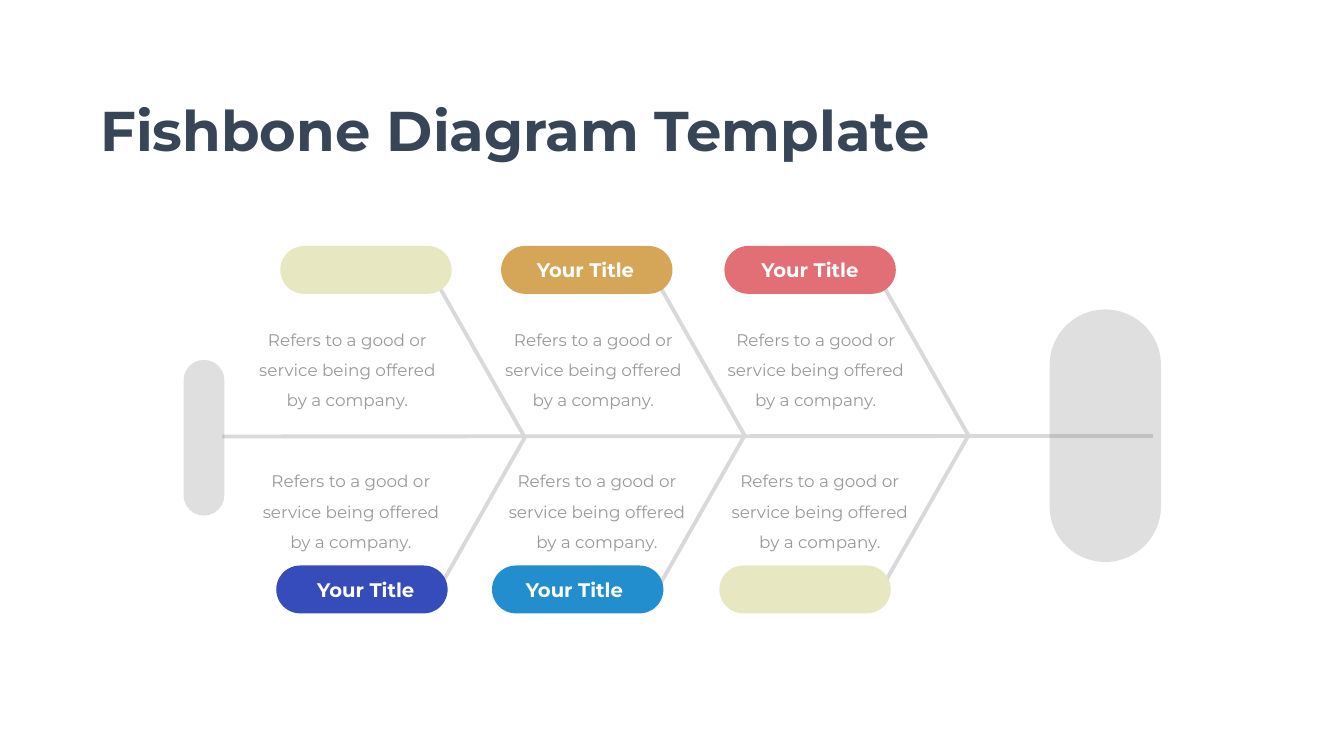
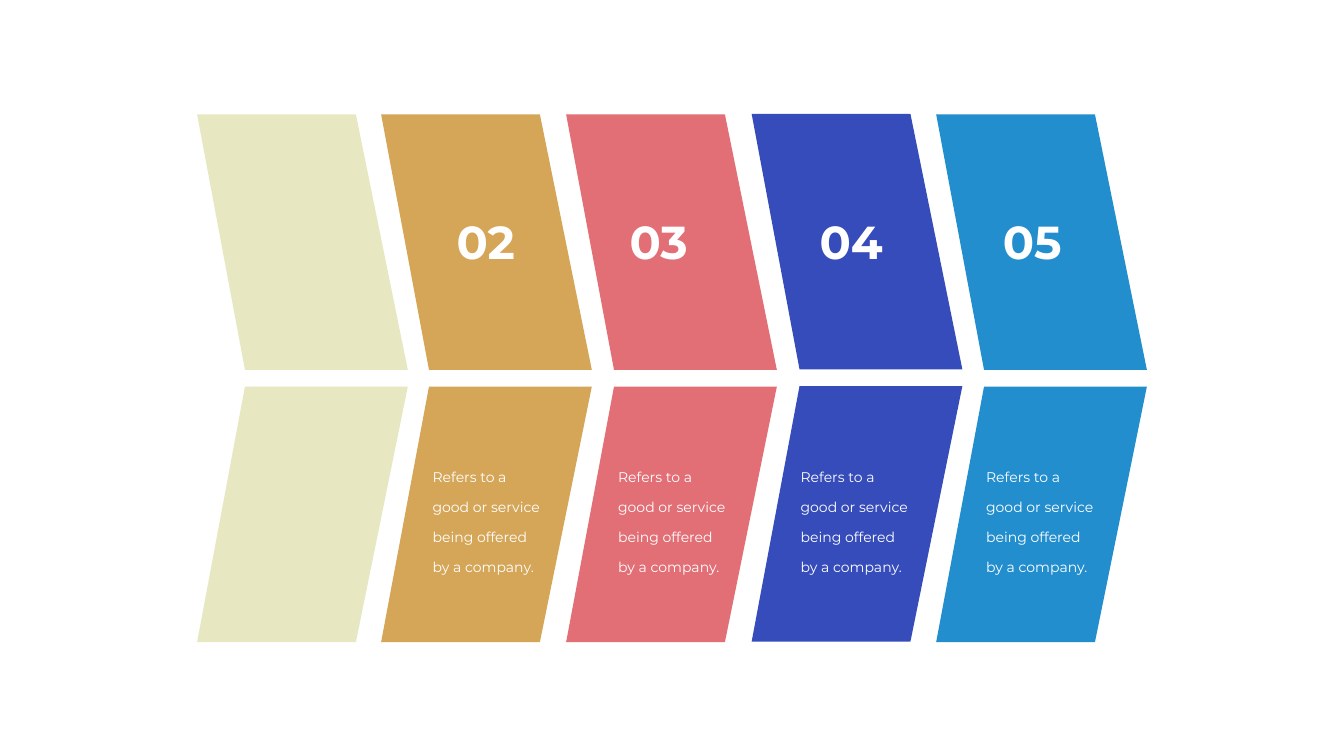
from dataclasses import dataclass

from lxml import etree
from pptx import Presentation
from pptx import util as u
from pptx.dml import color as dml
from pptx.enum import shapes, text
from pptx.oxml import ns

FONT = "Montserrat"
COLORS = {
    "page": "FEFFFE",
    "title": "374556",
    "body": "999999",
    "white": "FFFFFF",
    "bone": "D9D9D9",
    "grey": "808080",
    "cream": "E7E8C1",
    "gold": "D5A657",
    "coral": "E26E76",
    "indigo": "364CBA",
    "blue": "238ECE",
}
BODY = "Refers to a good or service being offered by a company."
LABEL = "Your Title"
BONE_WIDTH = u.Pt(5.5)


@dataclass(frozen=True)
class TextStyle:
    size: float
    color: str
    bold: bool = False
    align: text.PP_ALIGN = text.PP_ALIGN.CENTER
    line: float | None = None
    inset_x: float = 0.1
    inset_y: float = 0.05
    wrap: bool = True


TITLE = TextStyle(80, "title", True, text.PP_ALIGN.LEFT, wrap=False)
PILL_LABEL = TextStyle(28, "white", True)
NUMBER = TextStyle(66, "white", True)
NOTE = TextStyle(24, "body", line=43, inset_x=0.24, inset_y=0.12)
PANEL_NOTE = TextStyle(20, "white", False, text.PP_ALIGN.LEFT, 43, 0.24, 0.12)


@dataclass(frozen=True)
class Cause:
    pill_left: float
    note_left: float
    color: str
    label_left: float | None = None


@dataclass(frozen=True)
class CauseRow:
    pill_top: float
    label_top: float
    note_top: float
    causes: tuple[Cause, ...]


@dataclass(frozen=True)
class StepText:
    number: str
    number_left: float
    note_left: float


@dataclass(frozen=True)
class Step:
    left: float
    color: str
    wording: StepText | None = None
    lift: float = 0


# Cream pills and panels carry no white wording
CAUSE_ROWS = (
    CauseRow(4.88, 5.07, 6.22, (
        Cause(5.56, 4.82, "cream"),
        Cause(9.94, 9.7, "gold", 10),
        Cause(14.37, 14.11, "coral", 14.45),
    )),
    CauseRow(11.22, 11.41, 9.03, (
        Cause(5.48, 4.89, "indigo", 5.64),
        Cause(9.76, 9.77, "blue", 9.78),
        Cause(14.27, 14.19, "cream"),
    )),
)
RIB_TIPS = ((10.41, 8.68), (14.77, 8.64), (19.21, 8.64))
RIB_WIDTH, RIB_RISE = 1.92, 3.38

STEPS = (
    Step(3.91, "cream"),
    Step(7.56, "gold", StepText("02", 8.84, 8.34)),
    Step(11.23, "coral", StepText("03", 12.27, 12.02)),
    Step(14.91, "indigo", StepText("04", 16.09, 15.64), 0.01),
    Step(18.57, "blue", StepText("05", 19.68, 19.32)),
)


def rgb(name: str) -> dml.RGBColor:
    return dml.RGBColor.from_string(COLORS[name])


def add_page(deck):
    page = deck.slides.add_slide(deck.slide_layouts[6])
    page.background.fill.solid()
    page.background.fill.fore_color.rgb = rgb("page")
    return page


def add_text(page, words: str, left: float, top: float, width: float,
             height: float, style: TextStyle) -> None:
    box = page.shapes.add_textbox(*map(u.Inches, (left, top, width, height)))
    frame = box.text_frame
    frame.word_wrap = style.wrap
    frame.auto_size = text.MSO_AUTO_SIZE.SHAPE_TO_FIT_TEXT
    frame.margin_left = frame.margin_right = u.Inches(style.inset_x)
    frame.margin_top = frame.margin_bottom = u.Inches(style.inset_y)
    para = frame.paragraphs[0]
    para.alignment = style.align
    if style.line:
        para.line_spacing = u.Pt(style.line)
    span = para.add_run()
    span.text = words
    span.font.name = FONT
    span.font.size = u.Pt(style.size)
    span.font.bold = style.bold
    span.font.color.rgb = rgb(style.color)


def paint(shape, color: str, alpha: int | None = None) -> None:
    shape.shadow.inherit = False
    shape.line.fill.background()
    shape.fill.solid()
    shape.fill.fore_color.rgb = rgb(color)
    if alpha is not None:
        tint = shape.fill._xPr.find(".//" + ns.qn("a:srgbClr"))
        etree.SubElement(tint, ns.qn("a:alpha"), val=str(alpha * 1000))


def add_pill(page, left: float, top: float, width: float, height: float,
             color: str, alpha: int | None = None) -> None:
    pill = page.shapes.add_shape(shapes.MSO_SHAPE.ROUNDED_RECTANGLE,
                                 *map(u.Inches, (left, top, width, height)))
    pill.adjustments[0] = 0.5
    paint(pill, color, alpha)


def add_outline(page, points: list[tuple[float, float]], close: bool):
    corners = [(u.Inches(x), u.Inches(y)) for x, y in points]
    builder = page.shapes.build_freeform(*corners[0], scale=1.0)
    builder.add_line_segments(corners[1:], close=close)
    return builder.convert_to_shape()


def add_rib(page, tip_x: float, tip_y: float) -> None:
    back = tip_x - RIB_WIDTH
    rib = add_outline(page, [(back, tip_y - RIB_RISE), (tip_x, tip_y),
                             (back, tip_y + RIB_RISE)], close=False)
    rib.shadow.inherit = False
    rib.fill.background()
    rib.line.color.rgb = rgb("bone")
    rib.line.width = BONE_WIDTH


def add_spine(page) -> None:
    spine = page.shapes.add_connector(
        shapes.MSO_CONNECTOR.STRAIGHT,
        *map(u.Inches, (22.87, 8.65, 4.41, 8.66)))
    spine.line.color.rgb = rgb("bone")
    spine.line.width = BONE_WIDTH
    etree.SubElement(spine._element.spPr, ns.qn("a:effectLst"))


def add_panel(page, step: Step, outer_y: float, inner_y: float) -> None:
    """Slanted panel whose inner edge is shifted to the right."""
    panel = add_outline(page, [
        (step.left + 0.95, inner_y - step.lift),
        (step.left, outer_y - step.lift),
        (step.left + 3.15, outer_y - step.lift),
        (step.left + 4.18, inner_y - step.lift),
    ], close=True)
    paint(panel, step.color)


def build_fishbone(deck) -> None:
    page = add_page(deck)

    # Skeleton
    add_spine(page)
    for tip in RIB_TIPS:
        add_rib(page, *tip)

    # Pills, then tail and head
    for row in CAUSE_ROWS:
        for cause in row.causes:
            add_pill(page, cause.pill_left, row.pill_top, 3.4, 0.95, cause.color)
    add_pill(page, 3.64, 7.14, 0.81, 3.09, "grey", 25)
    add_pill(page, 20.82, 6.14, 2.21, 5.01, "grey", 25)

    # Wording
    for row in CAUSE_ROWS:
        for cause in row.causes:
            if cause.label_left is not None:
                add_text(page, LABEL, cause.label_left, row.label_top, 3.23,
                         0.57, PILL_LABEL)
            add_text(page, BODY, cause.note_left, row.note_top, 4.14, 1.98, NOTE)
    add_text(page, "Fishbone Diagram Template", 1.89, 1.85, 16.71, 1.45, TITLE)


def build_steps(deck) -> None:
    page = add_page(deck)
    for step in STEPS:
        add_panel(page, step, 2.27, 7.34)
        add_panel(page, step, 12.74, 7.67)
        if step.wording:
            add_text(page, step.wording.number, step.wording.number_left, 4.19,
                     1.59, 1.21, NUMBER)
            add_text(page, BODY, step.wording.note_left, 8.91, 2.7, 2.57,
                     PANEL_NOTE)


def main() -> None:
    deck = Presentation()
    deck.slide_width, deck.slide_height = u.Inches(26.66), u.Inches(15)
    build_fishbone(deck)
    build_steps(deck)
    deck.save("out.pptx")


if __name__ == "__main__":
    main()
